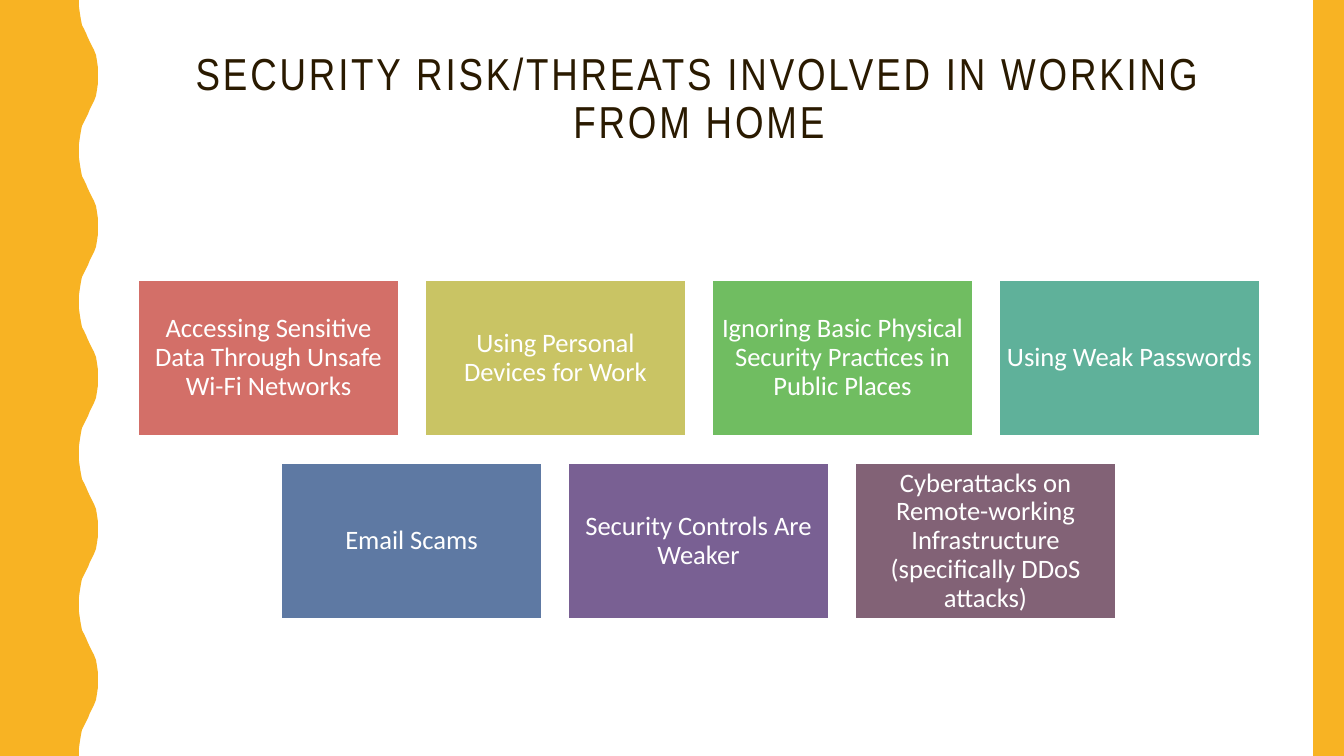
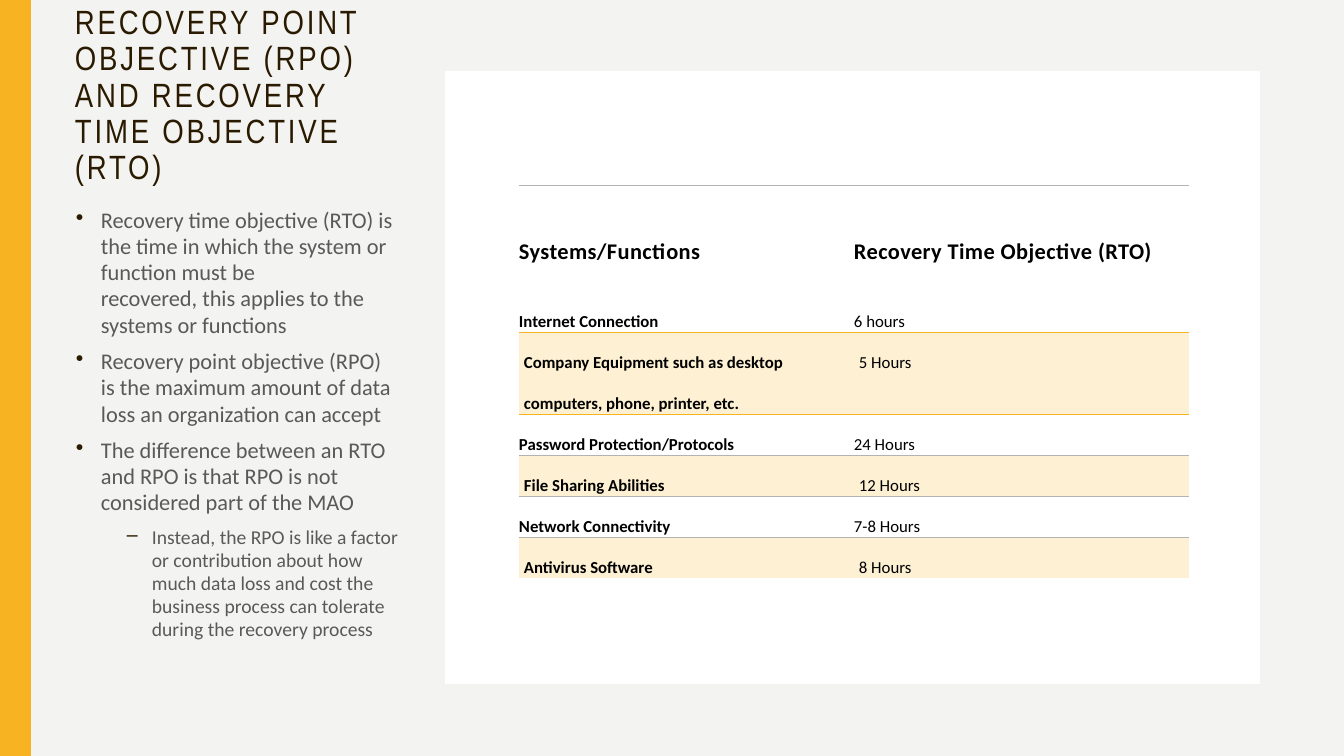
import dataclasses

import lxml.etree
import pptx
import pptx.dml.color
import pptx.enum.shapes
import pptx.enum.text
import pptx.oxml.ns
import pptx.util

ALIGN = pptx.enum.text.PP_ALIGN
ANCHOR = pptx.enum.text.MSO_ANCHOR
qn = pptx.oxml.ns.qn

WIDTH, HEIGHT = 1344, 756
SCALE = 12192000 / WIDTH
NO_STYLE = "{2D5ABB26-0587-4C30-8999-92F81FD0307C}"


@dataclasses.dataclass(frozen=True)
class Theme:
    heading: str = "Arial Narrow"
    body: str = "Calibri"
    dark: str = "2A1A00"
    amber: str = "F8B323"
    cream: str = "FEF0D3"
    white: str = "FFFFFF"
    paper: str = "F3F3F2"
    grey: str = "595959"
    rule: str = "B3B3B3"
    black: str = "000000"
    tiles: tuple = ("D36F68", "C9C464", "70BD61", "5FB19A",
                    "5E79A3", "796093", "826276")
    title_size: int = 32
    side_title_size: int = 24
    tile_size: int = 19
    bullet_sizes: tuple = (16, 14)
    header_size: int = 16
    cell_size: int = 12


def px(n):
    return pptx.util.Emu(round(n * SCALE))


def rgb(color):
    return pptx.dml.color.RGBColor.from_string(color)


class Deck:
    def __init__(self, theme):
        self.theme = theme
        self.prs = pptx.Presentation()
        self.prs.slide_width, self.prs.slide_height = px(WIDTH), px(HEIGHT)
        self.s = None

    def new_slide(self, background):
        self.s = self.prs.slides.add_slide(self.prs.slide_layouts[6])
        fill = self.s.background.fill
        fill.solid()
        fill.fore_color.rgb = rgb(background)

    def paint(self, sp, color, outline=None):
        sp.shadow.inherit = False
        sp.fill.solid()
        sp.fill.fore_color.rgb = rgb(color)
        if outline:
            sp.line.color.rgb = rgb(outline)
            sp.line.width = pptx.util.Pt(1)
        else:
            sp.line.fill.background()

    def rect(self, x, y, w, h, color, outline=None):
        sp = self.s.shapes.add_shape(
            pptx.enum.shapes.MSO_SHAPE.RECTANGLE, px(x), px(y), px(w), px(h))
        self.paint(sp, color, outline)
        return sp

    def band(self, x):
        self.rect(x, 0, 31, HEIGHT, self.theme.amber)

    def wavy_band(self):
        # One half wave, mirrored for every other half
        steps = (0, 7, 14, 20, 25, 29, 33, 38, 42, 46, 50, 55, 61, 68)
        edge = (79, 79, 80, 81, 82, 84, 86, 88, 90, 92, 94, 96, 97, 98, 98)
        halves = 10
        points = []
        for half in range(halves):
            xs = edge if half % 2 == 0 else edge[::-1]
            top = round(half * HEIGHT / halves)
            points += [(x, top + dy) for x, dy in zip(xs, steps)]
        points += [(edge[0], HEIGHT), (0, HEIGHT)]
        builder = self.s.shapes.build_freeform(0, 0, scale=SCALE)
        builder.add_line_segments(points, close=True)
        self.paint(builder.convert_to_shape(), self.theme.amber)

    def style(self, p, font, size, color, bold=False, spacing=0, leading=None,
              align=ALIGN.LEFT):
        p.font.name, p.font.size = font, pptx.util.Pt(size)
        p.font.color.rgb, p.font.bold = rgb(color), bold
        p.alignment, p.line_spacing = align, leading
        if spacing:
            # Letter spacing, in hundredths of a point
            p._p.pPr.find(qn("a:defRPr")).set("spc", str(spacing))

    def text_frame(self, x, y, w, h, anchor=ANCHOR.TOP):
        tf = self.s.shapes.add_textbox(px(x), px(y), px(w), px(h)).text_frame
        tf.word_wrap, tf.vertical_anchor = True, anchor
        return tf

    def title(self, text, x, y, w, h, size, anchor, align=ALIGN.LEFT):
        p = self.text_frame(x, y, w, h, anchor).paragraphs[0]
        p.text = text
        self.style(p, self.theme.heading, size, self.theme.dark,
                   spacing=200, leading=0.9, align=align)

    def tile(self, text, x, y, w, h, color):
        tf = self.rect(x, y, w, h, color, self.theme.white).text_frame
        tf.word_wrap, tf.vertical_anchor = True, ANCHOR.MIDDLE
        tf.margin_left = tf.margin_right = px(8)
        tf.margin_top = tf.margin_bottom = px(8)
        p = tf.paragraphs[0]
        p.text = text
        self.style(p, self.theme.body, self.theme.tile_size, self.theme.white,
                   leading=0.9, align=ALIGN.CENTER)

    def bullets(self, items, x, y, w, h):
        tf = self.text_frame(x, y, w, h)
        for i, (level, text) in enumerate(items):
            p = tf.add_paragraph() if i else tf.paragraphs[0]
            p.text, p.level = text, level
            self.style(p, self.theme.body, self.theme.bullet_sizes[level],
                       self.theme.grey, leading=0.98)
            p.space_before = pptx.util.Pt(7)
            pPr = p._p.pPr
            pPr.set("marL", str(px((25, 76)[level])))
            pPr.set("indent", str(px(-25)))
            color = lxml.etree.Element(qn("a:buClr"))
            lxml.etree.SubElement(color, qn("a:srgbClr"), val=self.theme.dark)
            mark = lxml.etree.Element(qn("a:buChar"), char="•–"[level])
            defaults = pPr.find(qn("a:defRPr"))
            defaults.addprevious(color)
            defaults.addprevious(mark)

    def top_border(self, cell, color, points):
        ln = lxml.etree.Element(qn("a:lnT"), w=str(pptx.util.Pt(points)))
        fill = lxml.etree.SubElement(ln, qn("a:solidFill"))
        lxml.etree.SubElement(fill, qn("a:srgbClr"), val=color)
        cell._tc.get_or_add_tcPr().insert(0, ln)

    def table(self, rows, heights, x, y, w):
        theme = self.theme
        columns = len(rows[0])
        table = self.s.shapes.add_table(
            len(rows), columns, px(x), px(y), px(w), px(sum(heights))).table
        table.first_row = table.horz_banding = False
        table._tbl.tblPr.find(qn("a:tableStyleId")).text = NO_STYLE
        for column in table.columns:
            column.width = px(w / columns)
        for i, (values, height) in enumerate(zip(rows, heights)):
            table.rows[i].height = px(height)
            header, banded = i == 0, i > 0 and i % 2 == 0
            for j, value in enumerate(values):
                cell = table.cell(i, j)
                cell.margin_left = px(5 if banded else 0)
                cell.margin_right = px(1 if header else 8)
                cell.margin_top = cell.margin_bottom = 0
                cell.vertical_anchor = ANCHOR.MIDDLE if header else ANCHOR.TOP
                cell.fill.solid()
                cell.fill.fore_color.rgb = rgb(
                    theme.cream if banded else theme.white)
                if header or banded:
                    self.top_border(
                        cell, theme.amber if i == 2 else theme.rule, 0.75)
                p = cell.text_frame.paragraphs[0]
                p.text = value
                self.style(p, theme.body,
                           theme.header_size if header else theme.cell_size,
                           theme.black, bold=header or j == 0,
                           spacing=30 if header else 0, leading=2.0)


def risks_slide(deck):
    theme = deck.theme
    deck.new_slide(theme.white)
    deck.wavy_band()
    deck.band(WIDTH - 31)
    deck.title("SECURITY RISK/THREATS INVOLVED IN WORKING FROM HOME",
               138, 42, 1122, 116, theme.title_size, ANCHOR.MIDDLE,
               ALIGN.CENTER)

    # Four tiles above three, the lower row set in by half a step
    risks = (
        "Accessing Sensitive Data Through Unsafe Wi-Fi Networks",
        "Using Personal Devices for Work",
        "Ignoring Basic Physical Security Practices in Public Places",
        "Using Weak Passwords",
        "Email Scams",
        "Security Controls Are Weaker",
        "Cyberattacks on Remote-working Infrastructure "
        "(specifically DDoS attacks)",
    )
    w, h, gap, per_row = 261, 156, 26, 4
    for i, (risk, color) in enumerate(zip(risks, theme.tiles)):
        row, column = divmod(i, per_row)
        x = 138 + column * (w + gap) + row * (w + gap) // 2
        deck.tile(risk, x, 280 + row * (h + gap + 1), w, h, color)


def recovery_slide(deck):
    theme = deck.theme
    deck.new_slide(theme.paper)
    deck.band(0)
    deck.title("RECOVERY POINT OBJECTIVE (RPO) AND RECOVERY TIME OBJECTIVE "
               "(RTO)", 65, 39, 343, 153, theme.side_title_size, ANCHOR.BOTTOM)
    deck.bullets((
        (0, "Recovery time objective (RTO) is the time in which the system or "
            "function must be \nrecovered, this applies to the systems or "
            "functions"),
        (0, "Recovery point objective (RPO) is the maximum amount of data "
            "loss an organization can accept"),
        (0, "The difference between an RTO and RPO is that RPO is not "
            "considered part of the MAO"),
        (1, "Instead, the RPO is like a factor or contribution about how much "
            "data loss and cost the business process can tolerate during the "
            "recovery process"),
    ), 66, 202, 343, 483)

    # Recovery times on a white panel
    deck.rect(445, 71, 815, 613, theme.white)
    deck.table((
        ("Systems/Functions", "Recovery Time Objective (RTO)"),
        ("Internet Connection", "6 hours"),
        ("Company Equipment such as desktop computers, phone, printer, etc.",
         "5 Hours"),
        ("Password Protection/Protocols", "24 Hours"),
        ("File Sharing Abilities", "12 Hours"),
        ("Network Connectivity", "7-8 Hours"),
        ("Antivirus Software", "8 Hours"),
    ), (106, 41, 82, 41, 41, 41, 41), 519, 185, 670)


def main():
    deck = Deck(Theme())
    risks_slide(deck)
    recovery_slide(deck)
    deck.prs.save("out.pptx")


if __name__ == "__main__":
    main()
